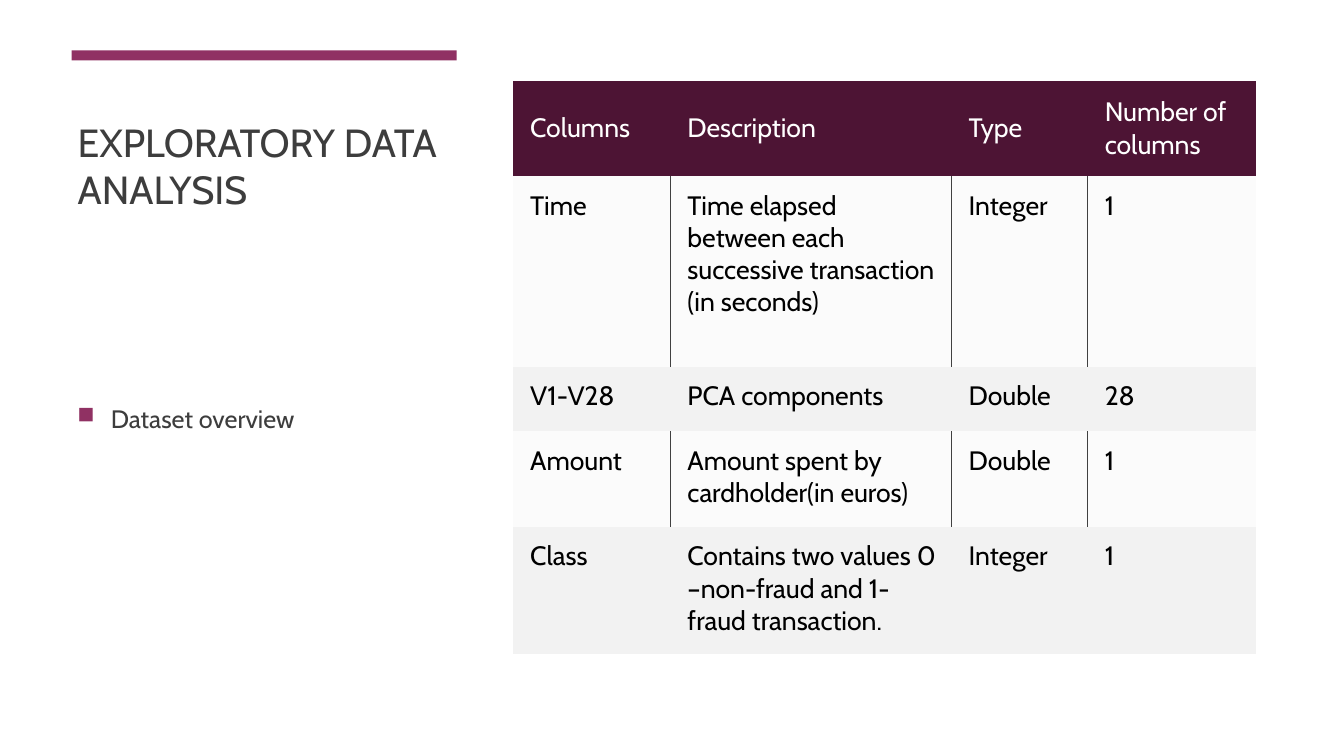
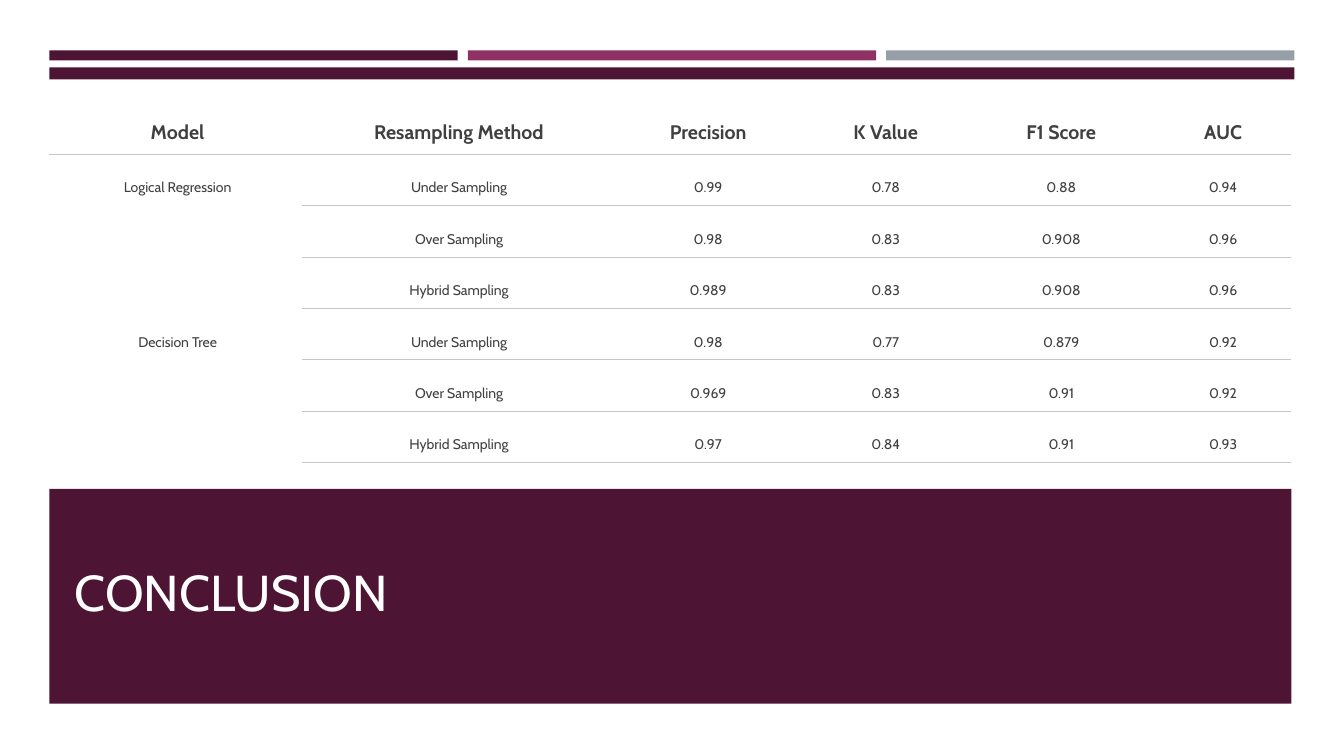
from lxml import etree
from pptx import Presentation
from pptx.dml.color import RGBColor
from pptx.enum.shapes import MSO_SHAPE
from pptx.enum.text import MSO_ANCHOR, MSO_AUTO_SIZE, PP_ALIGN
from pptx.oxml.ns import qn
from pptx.util import Inches, Pt

RECT = MSO_SHAPE.RECTANGLE
TOP, MIDDLE, BOTTOM = MSO_ANCHOR.TOP, MSO_ANCHOR.MIDDLE, MSO_ANCHOR.BOTTOM
LEFT, CENTER = PP_ALIGN.LEFT, PP_ALIGN.CENTER
NO_AUTOFIT = MSO_AUTO_SIZE.NONE

W, H = Inches(13.33), Inches(7.5)
FONT = "Cabin"
PLAIN_TABLE = "{2D5ABB26-0587-4C30-8999-92F81FD0307C}"
C = {
    "plum": "4D1434", "berry": "903163", "steel": "969FA7",
    "title": "3D3D3D", "text": "404040", "black": "000000", "white": "FFFFFF",
    "row": "F2F2F2", "row_light": "FBFBFB", "rule": "C7C6C1",
}

# Boxes are left, top, width and height in percent of the slide.
BAND_TOP, BAND_H, BAND_GAP = 6.67, 1.33, 0.75
MARGIN, CONTENT_W = 3.68, 92.4
BANDS_W = 92.63

VARIABLES = [
    ["Columns", "Description", "Type", "Number of columns"],
    ["Time", "Time elapsed between each successive transaction (in seconds)", "Integer", "1"],
    ["V1-V28", "PCA components", "Double", "28"],
    ["Amount", "Amount spent by cardholder(in euros)", "Double", "1"],
    ["Class", "Contains two values 0 –non-fraud and 1-fraud transaction.", "Integer", "1"],
]
RESULTS = [
    ["Model", "Resampling Method", "Precision", "K Value", "F1 Score", "AUC"],
    ["Logical Regression", "Under Sampling", "0.99", "0.78", "0.88", "0.94"],
    [None, "Over Sampling", "0.98", "0.83", "0.908", "0.96"],
    [None, "Hybrid Sampling", "0.989", "0.83", "0.908", "0.96"],
    ["Decision Tree", "Under Sampling", "0.98", "0.77", "0.879", "0.92"],
    [None, "Over Sampling", "0.969", "0.83", "0.91", "0.92"],
    [None, "Hybrid Sampling", "0.97", "0.84", "0.91", "0.93"],
]
GROUP = 3


def rgb(name):
    """Return the named colour."""
    return RGBColor.from_string(C[name])


def emu(box):
    """Turn a box in percent of the slide into lengths."""
    x, y, w, h = box
    return int(x * W / 100), int(y * H / 100), int(w * W / 100), int(h * H / 100)


def part(box, x, y, w, h):
    """Return a box given as shares of another box."""
    left, top, width, height = box
    return left + x * width, top + y * height, w * width, h * height


def write(tf, text, size=18, color="text", bold=False, align=LEFT):
    """Put one formatted paragraph into a text frame."""
    tf.word_wrap = True
    p = tf.paragraphs[0]
    p.alignment = align
    r = p.add_run()
    r.text = text
    r.font.name, r.font.size, r.font.bold = FONT, Pt(size), bold
    r.font.color.rgb = rgb(color)
    return p


def band(s, box, color):
    """Draw a flat coloured bar."""
    sp = s.shapes.add_shape(RECT, *emu(box))
    sp.shadow.inherit = False
    sp.fill.solid()
    sp.fill.fore_color.rgb = rgb(color)
    sp.line.fill.background()


def title(s, box, text, size, color, anchor):
    """Place and format the title placeholder."""
    sp = s.shapes.title
    sp.left, sp.top, sp.width, sp.height = emu(box)
    tf = sp.text_frame
    tf.auto_size, tf.vertical_anchor = NO_AUTOFIT, anchor
    write(tf, text, size=size, color=color)
    return sp


def bullet(p, color, indent, percent):
    """Give a paragraph a square bullet and a hanging indent."""
    pPr = p._p.get_or_add_pPr()
    pPr.set("marL", str(indent))
    pPr.set("indent", str(-indent))
    clr = etree.SubElement(pPr, qn("a:buClr"))
    etree.SubElement(clr, qn("a:srgbClr"), val=C[color])
    etree.SubElement(pPr, qn("a:buSzPct"), val=str(percent * 1000))
    etree.SubElement(pPr, qn("a:buChar"), char="■")


def borders(cell, sides, color, width):
    """Draw the given sides of a cell, listed in the order L, R, T, B."""
    tcPr = cell._tc.get_or_add_tcPr()
    for side in sides:
        ln = etree.SubElement(tcPr, qn("a:ln" + side), w=str(Pt(width)))
        fill = etree.SubElement(ln, qn("a:solidFill"))
        etree.SubElement(fill, qn("a:srgbClr"), val=C[color])


def table(s, box, data, cols, rows, style):
    """Add a plain table with weighted columns and rows, styled cell by cell."""
    x, y, w, h = emu(box)
    t = s.shapes.add_table(len(rows), len(cols), x, y, w, h).table
    t._tbl.tblPr.find(qn("a:tableStyleId")).text = PLAIN_TABLE
    t.first_row = t.horz_banding = False
    for lines, weights, attr, total in ((t.columns, cols, "width", w), (t.rows, rows, "height", h)):
        for line, weight in zip(lines, weights):
            setattr(line, attr, int(total * weight / sum(weights)))
    for i, row in enumerate(data):
        for j, text in enumerate(row):
            style(t.cell(i, j), i, j, text)
    return t


def margins(cell, left, top, right, bottom):
    """Set the four inner margins of a cell in inches."""
    cell.margin_left, cell.margin_top = Inches(left), Inches(top)
    cell.margin_right, cell.margin_bottom = Inches(right), Inches(bottom)


def variable_cell(cell, i, j, text):
    """Style a cell of the dataset table."""
    head, light = i == 0, i % 2 == 1
    margins(cell, 0.17, 0.13, 0.11, 0.13)
    cell.vertical_anchor = MIDDLE if head else TOP
    if light:
        last = len(VARIABLES[0]) - 1
        borders(cell, ("L" if j else "") + ("R" if j < last else ""), "text", 0.5)
    cell.fill.solid()
    cell.fill.fore_color.rgb = rgb("plum" if head else "row_light" if light else "row")
    write(cell.text_frame, text, size=19, color="white" if head else "black")


def result_cell(cell, i, j, text):
    """Style a cell of the model results table."""
    head = i == 0
    margins(cell, 0.15, 0.31 if head else 0.25, 0.11, 0.08)
    cell.vertical_anchor = TOP
    if j or i % GROUP == 0:
        borders(cell, "B", "rule", 0.75)
    cell.fill.background()
    if text is not None:
        write(cell.text_frame, text, size=14 if head else 10, bold=head, align=CENTER)


def heading_panel(s, box):
    """Build the left panel: accent band, title and bullet."""
    x, y, w, _ = part(box, 0.01, 0, 0.98, 1)
    band(s, (x, y, w, BAND_H), "berry")
    title(s, part(box, 0, 0.05, 1, 0.23), "EXPLORATORY DATA ANALYSIS", 28, "title", BOTTOM)
    tf = s.shapes.add_textbox(*emu(part(box, 0, 0.35, 1, 0.53))).text_frame
    tf.vertical_anchor = MIDDLE
    bullet(write(tf, "Dataset overview", color="title"), "berry", Inches(0.33), 92)


def top_bands(s, box):
    """Draw three equal bands with a full-width rule below them."""
    x, y, w, h = box
    width = (w - 2 * BAND_GAP) / 3
    for k, color in enumerate(("plum", "berry", "steel")):
        band(s, (x + k * (width + BAND_GAP), y, width, h), color)
    band(s, part(box, 0, 1.7, 1, 1.2), "plum")


def results_table(s, box):
    """Add the results table and merge each model's cells."""
    t = table(s, box, RESULTS, (2.5, 3.08, 1.86, 1.66, 1.82, 1.39), [0.64] + [0.51] * 6, result_cell)
    for i in range(1, len(RESULTS), GROUP):
        t.cell(i, 0).merge(t.cell(i + GROUP - 1, 0))


def conclusion_panel(s, box):
    """Turn the title into the filled closing panel."""
    sp = title(s, box, "CONCLUSION", 36, "white", MIDDLE)
    sp.fill.solid()
    sp.fill.fore_color.rgb = rgb("plum")
    sp.text_frame.margin_left, sp.text_frame.margin_bottom = Inches(0.25), Inches(0.14)


def dataset_slide(s):
    """Build the dataset overview slide."""
    heading_panel(s, (5.03, BAND_TOP, 29.25, 79.07))
    table(s, (38.18, 10.67, 55.28, 75.87), VARIABLES,
          (1.56, 2.79, 1.35, 1.67), (0.95, 1.89, 0.64, 0.95, 1.26), variable_cell)


def conclusion_slide(s):
    """Build the model comparison slide."""
    top_bands(s, (MARGIN, BAND_TOP, BANDS_W, BAND_H))
    results_table(s, (MARGIN, 11.87, CONTENT_W, 49.33))
    conclusion_panel(s, (MARGIN, 64.67, CONTENT_W, 28.4))


def main():
    """Build and save the presentation."""
    prs = Presentation()
    prs.slide_width, prs.slide_height = W, H
    for build in (dataset_slide, conclusion_slide):
        build(prs.slides.add_slide(prs.slide_layouts[5]))
    prs.save("out.pptx")


if __name__ == "__main__":
    main()
